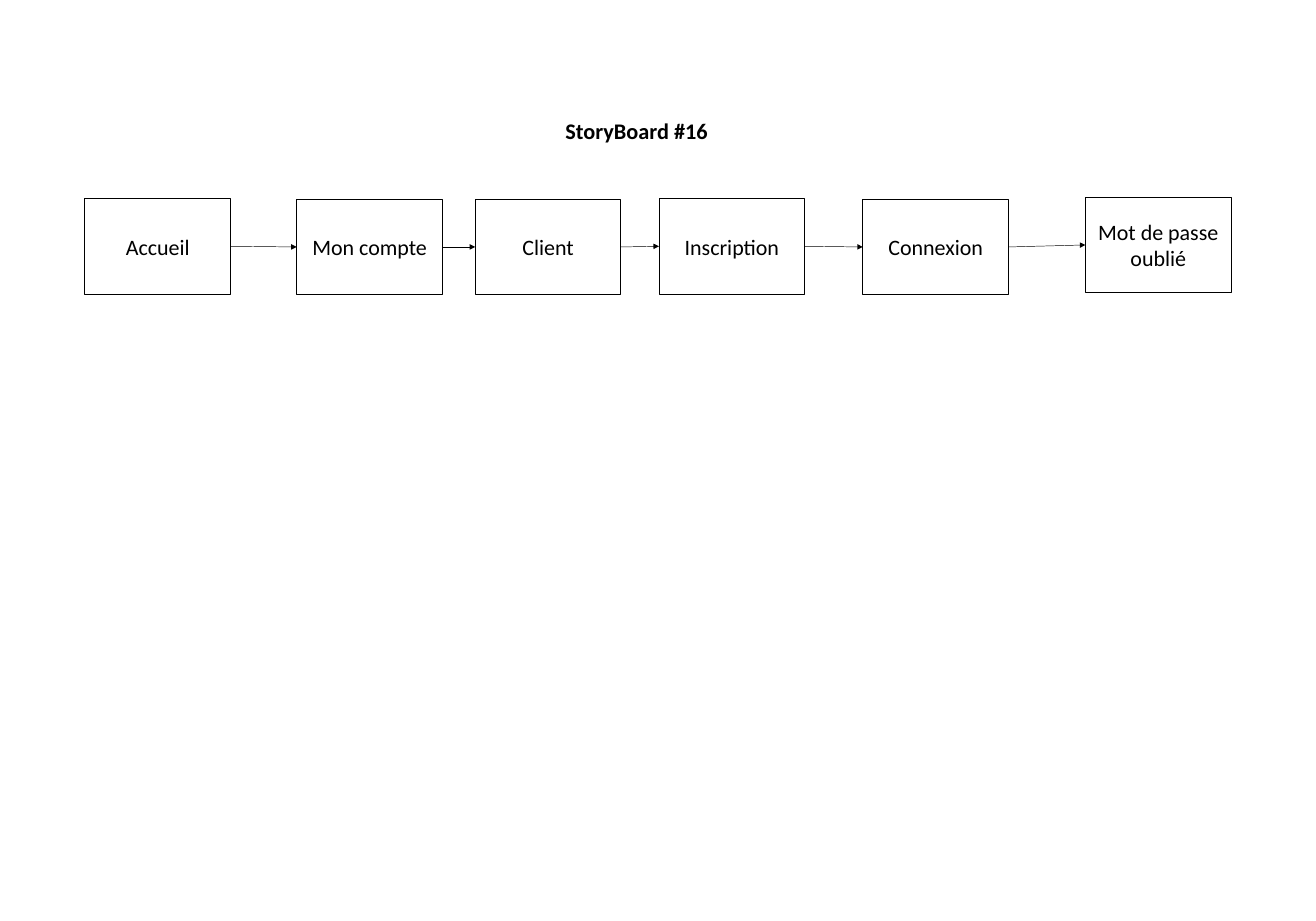
from dataclasses import dataclass

from lxml.etree import SubElement
from pptx import Presentation
from pptx.dml.color import RGBColor
from pptx.enum.shapes import MSO_CONNECTOR, MSO_SHAPE
from pptx.enum.text import MSO_ANCHOR, MSO_AUTO_SIZE, PP_ALIGN
from pptx.oxml.ns import qn
from pptx.util import Inches, Pt


@dataclass(frozen=True)
class Theme:
    """Colours, font, type sizes and line widths of the slide."""
    ink: RGBColor = RGBColor(0x00, 0x00, 0x00)
    paper: RGBColor = RGBColor(0xFF, 0xFF, 0xFF)
    font: str = "Calibri"
    title_size: float = 24
    step_size: float = 23.7
    box_line: float = 1
    arrow_line: float = 0.5


THEME = Theme()
BOX_W, BOX_H = 2.18, 1.43
LEFT_SITE, RIGHT_SITE = 1, 3
STEPS = [  # screen name, left, top
    ("Accueil", 1.27, 2.97),
    ("Mon compte", 4.44, 2.98),
    ("Client", 7.11, 2.98),
    ("Inscription", 9.86, 2.97),
    ("Connexion", 12.91, 2.98),
    ("Mot de passe oublié", 16.24, 2.95),
]


def write_text(shape, text, size, bold=False, anchor=MSO_ANCHOR.MIDDLE):
    """Put centred, wrapped text into a shape."""
    tf = shape.text_frame
    tf.word_wrap = True
    tf.vertical_anchor = anchor
    p = tf.paragraphs[0]
    p.alignment = PP_ALIGN.CENTER
    r = p.add_run()
    r.text = text
    r.font.name = THEME.font
    r.font.size = Pt(size)
    r.font.bold = bold
    r.font.color.rgb = THEME.ink


def set_title(s, text):
    """Place and format the slide title."""
    title = s.shapes.title
    title.left, title.top = Inches(5.94), Inches(1.7)
    title.width, title.height = Inches(7.17), Inches(0.5)
    write_text(title, text, THEME.title_size, bold=True, anchor=MSO_ANCHOR.TOP)
    title.text_frame.auto_size = MSO_AUTO_SIZE.SHAPE_TO_FIT_TEXT


def add_step(s, text, left, top):
    """Add the box of one screen and return it."""
    sp = s.shapes.add_shape(MSO_SHAPE.RECTANGLE, Inches(left), Inches(top),
                            Inches(BOX_W), Inches(BOX_H))
    sp.shadow.inherit = False
    sp.fill.solid()
    sp.fill.fore_color.rgb = THEME.paper
    sp.line.color.rgb = THEME.ink
    sp.line.width = Pt(THEME.box_line)
    write_text(sp, text, THEME.step_size)
    return sp


def add_arrow(s, start, end):
    """Connect the right side of one box to the left side of the next."""
    arrow = s.shapes.add_connector(MSO_CONNECTOR.STRAIGHT, 0, 0, 0, 0)
    arrow.begin_connect(start, RIGHT_SITE)
    arrow.end_connect(end, LEFT_SITE)
    arrow.line.color.rgb = THEME.ink
    arrow.line.width = Pt(THEME.arrow_line)
    SubElement(arrow.line._get_or_add_ln(), qn("a:tailEnd"), type="triangle")
    SubElement(arrow._element.spPr, qn("a:effectLst"))


def main():
    """Build the storyboard slide and save it."""
    prs = Presentation()
    prs.slide_width, prs.slide_height = Inches(19.69), Inches(13.78)
    s = prs.slides.add_slide(prs.slide_layouts[5])
    set_title(s, "StoryBoard #16")
    boxes = [add_step(s, *step) for step in STEPS]
    for start, end in zip(boxes, boxes[1:]):
        add_arrow(s, start, end)
    prs.save("out.pptx")


main()
